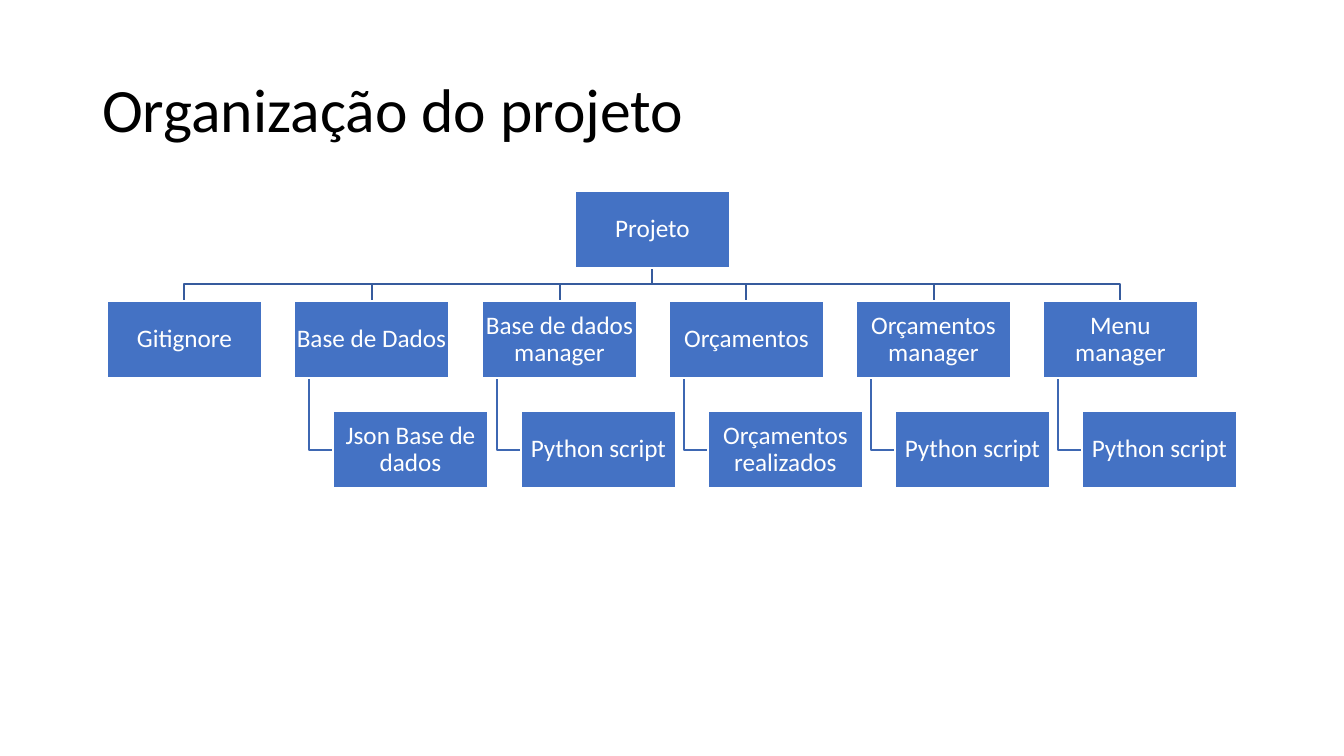
import pptx
import pptx.dml.color
import pptx.enum.shapes
import pptx.enum.text
import pptx.util

SCALE = 914400 / 100.8
COLOURS = {
    "box": "4472C4",
    "white": "FFFFFF",
    "title": "000000",
    "branch": "365B9D",
    "twig": "3E67B2",
}
BOX_WIDTH, BOX_HEIGHT = 155, 77
LEFT, TOP = 107, 191
COLUMN_STEP, ROW_STEP = 187.25, 110
CHILD_INDENT, TWIG_INDENT = 39, 15

ROOT = "Projeto"
MODULES = [
    ("Gitignore", None),
    ("Base de Dados", "Json Base de dados"),
    ("Base de dados manager", "Python script"),
    ("Orçamentos", "Orçamentos realizados"),
    ("Orçamentos manager", "Python script"),
    ("Menu manager", "Python script"),
]


def emu(pixels):
    """Turn pixels into EMU."""
    return pptx.util.Emu(round(pixels * SCALE))


def colour(name):
    """Look up a named colour."""
    return pptx.dml.color.RGBColor.from_string(COLOURS[name])


def write(frame, text, size, ink, align, margins=None):
    """Put formatted text in a frame, centred vertically."""
    frame.word_wrap = True
    frame.auto_size = pptx.enum.text.MSO_AUTO_SIZE.NONE
    frame.vertical_anchor = pptx.enum.text.MSO_ANCHOR.MIDDLE
    if margins is not None:
        frame.margin_left = frame.margin_right = emu(margins)
        frame.margin_top = frame.margin_bottom = emu(margins)
    para = frame.paragraphs[0]
    para.alignment = align
    para.line_spacing = 0.9
    span = para.add_run()
    span.text = text
    span.font.name = "Calibri"
    span.font.size = pptx.util.Pt(size)
    span.font.color.rgb = colour(ink)


class Chart:
    """Draws the parts of an organisation chart on one slide."""

    def __init__(self, page):
        """Keep the slide and the shared style."""
        self.page = page
        self.font_size = 18
        self.line_width = pptx.util.Pt(1)

    def title(self, text, left, top, width, height):
        """Place and fill the title placeholder."""
        box = self.page.shapes.title
        box.left, box.top = emu(left), emu(top)
        box.width, box.height = emu(width), emu(height)
        write(box.text_frame, text, size=44, ink="title",
              align=pptx.enum.text.PP_ALIGN.LEFT)

    def box(self, text, left, top):
        """Add one labelled box."""
        box = self.page.shapes.add_shape(
            pptx.enum.shapes.MSO_SHAPE.RECTANGLE,
            emu(left), emu(top), emu(BOX_WIDTH), emu(BOX_HEIGHT))
        box.shadow.inherit = False
        box.fill.solid()
        box.fill.fore_color.rgb = colour("box")
        box.line.color.rgb = colour("white")
        box.line.width = self.line_width
        write(box.text_frame, text, size=self.font_size, ink="white",
              align=pptx.enum.text.PP_ALIGN.CENTER, margins=1)

    def elbow(self, points, ink):
        """Add an open bent line through the points."""
        start, *others = points
        builder = self.page.shapes.build_freeform(*start, scale=SCALE)
        builder.add_line_segments(others, close=False)
        line = builder.convert_to_shape()
        line.shadow.inherit = False
        line.fill.background()
        line.line.color.rgb = colour(ink)
        line.line.width = self.line_width


deck = pptx.Presentation()
deck.slide_width, deck.slide_height = emu(1344), emu(756)
chart = Chart(deck.slides.add_slide(deck.slide_layouts[5]))
chart.title("Organização do projeto", 92, 40, 1159, 146)

columns = [round(LEFT + COLUMN_STEP * index) for index in range(len(MODULES))]
root_left = round((columns[0] + columns[-1]) / 2)
root_centre = root_left + BOX_WIDTH / 2
module_top, child_top = TOP + ROW_STEP, TOP + 2 * ROW_STEP
root_bottom, module_bottom = TOP + BOX_HEIGHT, module_top + BOX_HEIGHT
branch_y = (root_bottom + module_top) / 2
child_middle = child_top + BOX_HEIGHT / 2

for left, (_, child) in zip(columns, MODULES):
    centre = left + BOX_WIDTH / 2
    chart.elbow([(root_centre, root_bottom), (root_centre, branch_y),
                 (centre, branch_y), (centre, module_top)], "branch")
    if child:
        twig_x = left + TWIG_INDENT
        chart.elbow([(twig_x, module_bottom), (twig_x, child_middle),
                     (left + CHILD_INDENT, child_middle)], "twig")

chart.box(ROOT, root_left, TOP)
for left, (module, child) in zip(columns, MODULES):
    chart.box(module, left, module_top)
    if child:
        chart.box(child, left + CHILD_INDENT, child_top)

deck.save("out.pptx")
